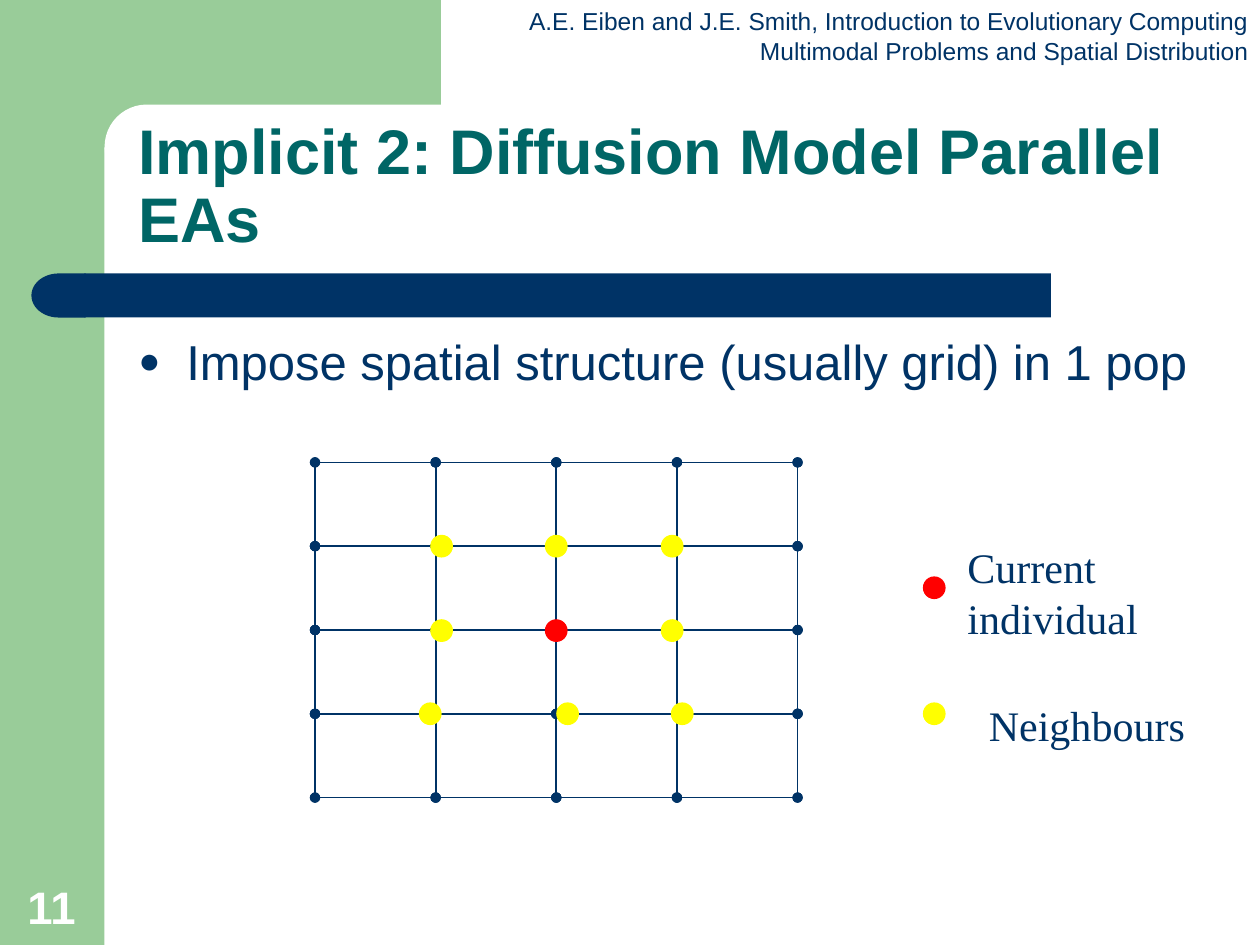
from dataclasses import dataclass

from lxml.etree import SubElement as Sub
from pptx import Presentation
from pptx.dml.color import RGBColor as RGB
from pptx.enum.shapes import MSO_CONNECTOR as Conn, MSO_SHAPE as Kind
from pptx.enum.text import MSO_ANCHOR as Anchor, MSO_AUTO_SIZE as Fit, PP_ALIGN as Align
from pptx.oxml.ns import qn
from pptx.util import Inches, Pt


@dataclass(frozen=True)
class Theme:
    green: RGB = RGB(0x99, 0xCC, 0x99)
    navy: RGB = RGB(0x00, 0x33, 0x66)
    teal: RGB = RGB(0x00, 0x66, 0x66)
    white: RGB = RGB(0xFF, 0xFF, 0xFF)
    red: RGB = RGB(0xFF, 0x00, 0x00)
    yellow: RGB = RGB(0xFF, 0xFF, 0x00)
    sans: str = "Arial"
    serif: str = "Times New Roman"
    title: int = 36
    body: int = 28
    page: int = 26
    key: int = 24
    head: int = 14


look = Theme()
deck = Presentation()
deck.slide_width, deck.slide_height = Inches(10), Inches(7.5)
slide = deck.slides.add_slide(deck.slide_layouts[6])


def add_text(text, box, size, color=look.navy, font=look.sans, bold=False,
             align=Align.LEFT, anchor=Anchor.TOP, wrap=True, space=1.0):
    frame = slide.shapes.add_textbox(*map(Inches, box)).text_frame
    frame.word_wrap, frame.vertical_anchor = wrap, anchor
    frame.auto_size = Fit.NONE if wrap else Fit.SHAPE_TO_FIT_TEXT
    frame.text = text
    for para in frame.paragraphs:
        para.alignment, para.line_spacing = align, space
        style = para.font
        style.name, style.size, style.bold = font, Pt(size), bold
        style.color.rgb = color
    return frame


def add_shape(kind, box, color, edge=False):
    shape = slide.shapes.add_shape(kind, *map(Inches, box))
    shape.shadow.inherit = False
    shape.fill.solid()
    shape.fill.fore_color.rgb = color
    if edge:
        shape.line.color.rgb = color
        shape.line.width = Pt(0.75)
    else:
        shape.line.fill.background()
    return shape


# Green frame with a rounded white corner
add_shape(Kind.RECTANGLE, (0, 0, 0.83, 7.5), look.green)
add_shape(Kind.RECTANGLE, (0.75, 0, 2.75, 1.17), look.green)
corner = add_shape(Kind.ROUNDED_RECTANGLE, (0.83, 0.83, 5.58, 0.67), look.white)
corner.adjustments[0] = 0.5

# Navy bar with a round left end
add_shape(Kind.RECTANGLE, (0.67, 2.17, 7.67, 0.35), look.navy)
cap = add_shape(Kind.FLOWCHART_DELAY, (0.25, 2.17, 0.43, 0.35), look.navy)
cap._element.spPr.find(qn("a:xfrm")).set("flipH", "1")

# Header, title and page number
add_text("A.E. Eiben and J.E. Smith, Introduction to Evolutionary Computing\n"
         "Multimodal Problems and Spatial Distribution",
         (4.1, 0, 5.91, 0.57), look.head, align=Align.RIGHT, wrap=False)
add_text("Implicit 2: Diffusion Model Parallel EAs", (1, 0.83, 8.75, 1.25),
         look.title, look.teal, bold=True, anchor=Anchor.BOTTOM, space=0.9)
add_text("11", (0.12, 6.92, 0.64, 0.54), look.page, look.white,
         bold=True, anchor=Anchor.BOTTOM)

# Bullet
body = add_text("Impose spatial structure (usually grid) in 1 pop",
                (1, 2.58, 8.75, 4.08), look.body)
para = body.paragraphs[0]
para.space_before = Pt(7)
props = para._p.get_or_add_pPr()
props.set("marL", str(Inches(0.38)))
props.set("indent", str(-Inches(0.38)))
tint = Sub(props, qn("a:buClr"))
Sub(tint, qn("a:srgbClr"), val=str(look.navy))
Sub(props, qn("a:buSzPct"), val="75000")
Sub(props, qn("a:buFont"), typeface=look.sans)
Sub(props, qn("a:buChar"), char="●")

# Grid: one edge between each pair of adjacent nodes
count = 5
left, top, wide, high = 2.5, 3.67, 3.83, 2.66
cols = [left + i * wide / (count - 1) for i in range(count)]
rows = [top + i * high / (count - 1) for i in range(count)]
edges = [(a, y, b, y) for y in rows for a, b in zip(cols, cols[1:])]
edges += [(x, b, x, a) for x in cols for a, b in zip(rows, rows[1:])]
for edge in edges:
    link = slide.shapes.add_connector(Conn.STRAIGHT, *map(Inches, edge))
    link.line.color.rgb = look.navy
    link.line.width = Pt(1)
    props = link._element.spPr
    for end in ("a:headEnd", "a:tailEnd"):
        Sub(props.find(qn("a:ln")), qn(end), type="oval")
    Sub(props, qn("a:effectLst"))

# Current individual, its neighbours and the key dots
dots = [
    (look.red, 4.92, [4.33]),
    (look.yellow, 4.25, [3.42, 4.33, 5.25]),
    (look.yellow, 4.92, [3.42, 5.25]),
    (look.yellow, 5.58, [3.33, 4.42, 5.33]),
    (look.red, 4.58, [7.33]),
    (look.yellow, 5.58, [7.33]),
]
for color, y, places in dots:
    for x in places:
        add_shape(Kind.OVAL, (x, y, 0.17, 0.17), color, edge=True)

# Key labels
for label, box in [("Current\nindividual", (7.58, 4.25, 1.55, 0.9)),
                   ("Neighbours", (7.75, 5.5, 1.78, 0.5))]:
    add_text(label, box, look.key, font=look.serif, wrap=False)

deck.save("out.pptx")
